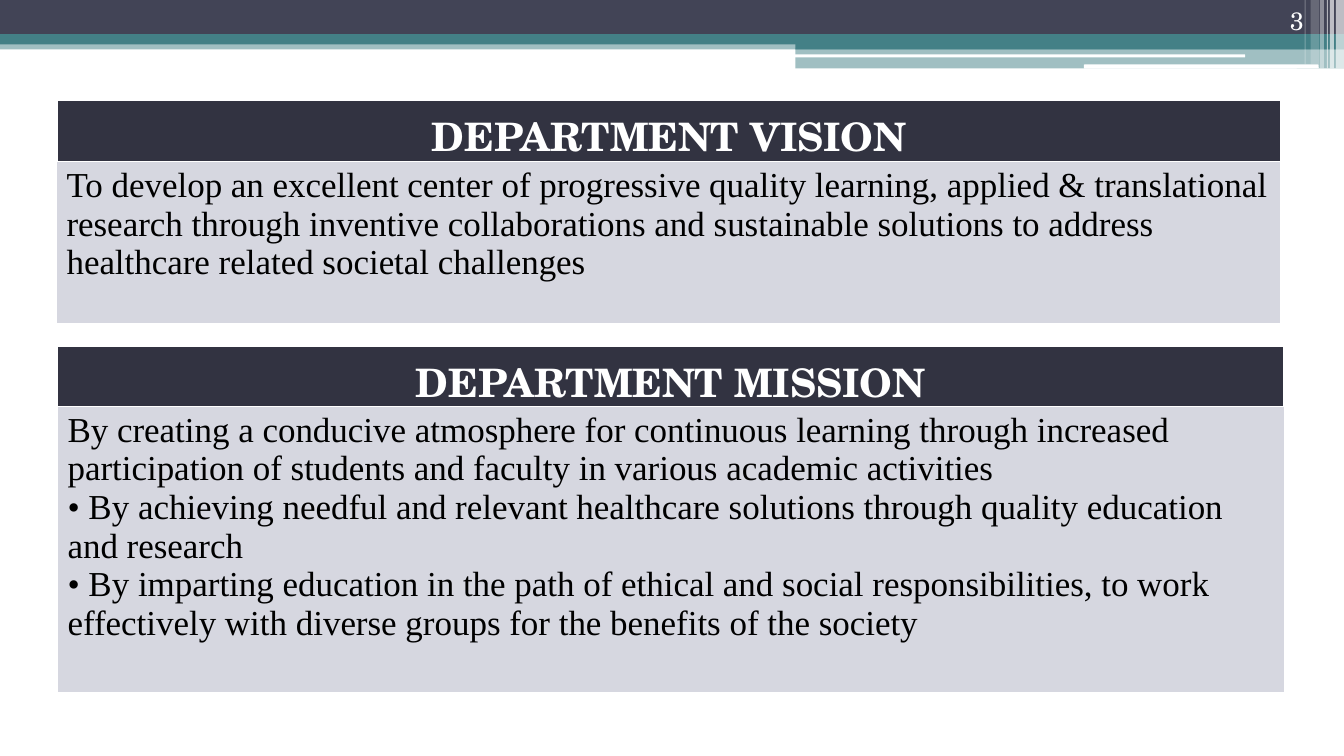
from lxml import etree
from pptx import Presentation
from pptx.dml.color import RGBColor
from pptx.enum.shapes import MSO_SHAPE
from pptx.enum.text import MSO_ANCHOR, PP_ALIGN
from pptx.oxml.ns import qn
from pptx.util import Inches, Pt

RECT, ROUND = MSO_SHAPE.RECTANGLE, MSO_SHAPE.ROUNDED_RECTANGLE
LEFT, CENTER, RIGHT = PP_ALIGN.LEFT, PP_ALIGN.CENTER, PP_ALIGN.RIGHT
BOTTOM = MSO_ANCHOR.BOTTOM

COLORS = {"navy": "424456", "teal": "438086", "white": "FFFFFF",
          "head": "323341", "body": "D6D7E0", "black": "000000"}
HEAD = {"size": Pt(28), "name": "TeX Gyre Schola", "bold": True}
BODY = {"size": Pt(25), "name": "Times New Roman", "bold": False}
PAGE = {"size": Pt(18), "name": "TeX Gyre Schola"}

# left, top, width, height, colour, opacity in percent
BANDS = [
    (0, 0.4, 13.33, 0.09, "teal", 50),
    (0, 0, 13.33, 0.34, "navy", 100),
    (0, 0.34, 13.33, 0.1, "teal", 100),
    (7.89, 0.39, 5.44, 0.1, "teal", 100),
    (7.89, 0.48, 5.44, 0.2, "teal", 50),
]
SLITS = [(7.88, 0.54, 4.47, 0.03), (10.75, 0.64, 2.33, 0.04)]
# left, width, height, opacity in percent
STRIPES = [
    (13.25, 0.08, 0.68, 65), (13.19, 0.04, 0.68, 65), (13.16, 0.01, 0.68, 60),
    (13.09, 0.04, 0.68, 40), (13, 0.08, 0.64, 20), (12.94, 0.01, 0.64, 30),
]
VISION = [
    "To develop an excellent center of progressive quality learning, applied & "
    "translational research through inventive collaborations and sustainable "
    "solutions to address healthcare related societal challenges",
]
MISSION = [
    "By creating a conducive atmosphere for continuous learning through increased "
    "participation of students and faculty in various academic activities",
    "• By achieving needful and relevant healthcare solutions through quality "
    "education and research",
    "• By imparting education in the path of ethical and social responsibilities, "
    "to work effectively with diverse groups for the benefits of the society",
]


def rgb(color):
    return RGBColor.from_string(COLORS[color])


def add_bar(slide, box, color, alpha=100, kind=RECT):
    bar = slide.shapes.add_shape(kind, *map(Inches, box))
    bar.shadow.inherit = False
    bar.line.fill.background()
    bar.fill.solid()
    bar.fill.fore_color.rgb = rgb(color)
    if alpha < 100:
        tint = bar.fill._xPr.find(".//" + qn("a:srgbClr"))
        etree.SubElement(tint, qn("a:alpha"), val=str(alpha * 1000))


def write(frame, lines, style, color, align):
    for i, line in enumerate(lines):
        para = frame.add_paragraph() if i else frame.paragraphs[0]
        para.alignment = align
        run = para.add_run()
        run.text = line
        for key, value in style.items():
            setattr(run.font, key, value)
        run.font.color.rgb = rgb(color)


def add_edges(cell):
    props = cell._tc.get_or_add_tcPr()
    for i, (side, width) in enumerate((("L", 1), ("R", 1), ("T", 1), ("B", 3))):
        edge = etree.Element(qn("a:ln" + side), w=str(Pt(width)))
        fill = etree.SubElement(edge, qn("a:solidFill"))
        etree.SubElement(fill, qn("a:srgbClr"), val=COLORS["white"])
        props.insert(i, edge)


def add_panel(slide, box, lines, style, fill, color, align):
    table = slide.shapes.add_table(1, 1, *map(Inches, box)).table
    cell = table.cell(0, 0)
    cell.fill.solid()
    cell.fill.fore_color.rgb = rgb(fill)
    add_edges(cell)
    write(cell.text_frame, lines, style, color, align)


def add_number(slide, text):
    box = slide.shapes.add_textbox(*map(Inches, (11.92, 0, 1.11, 0.4)))
    frame = box.text_frame
    frame.word_wrap = True
    frame.vertical_anchor = BOTTOM
    write(frame, [text], PAGE, "white", RIGHT)


def main():
    deck = Presentation()
    deck.slide_width, deck.slide_height = Inches(13.33), Inches(7.5)
    slide = deck.slides.add_slide(deck.slide_layouts[6])

    # Top banner
    for *box, color, alpha in BANDS:
        add_bar(slide, box, color, alpha)
    for box in SLITS:
        add_bar(slide, box, "white", kind=ROUND)
    for left, width, height, alpha in STRIPES:
        add_bar(slide, (left, 0, width, height), "white", alpha)

    # Headed panels
    for title, head, lines, body in (
        ("DEPARTMENT VISION", (0.57, 1, 12.13, 0.61),
         VISION, (0.56, 1.6, 12.14, 1.62)),
        ("DEPARTMENT MISSION", (0.57, 3.44, 12.16, 0.61),
         MISSION, (0.57, 4.03, 12.17, 2.85)),
    ):
        add_panel(slide, head, [title], HEAD, "head", "white", CENTER)
        add_panel(slide, body, lines, BODY, "body", "black", LEFT)

    # Slide number
    add_number(slide, "3")
    deck.save("out.pptx")


if __name__ == "__main__":
    main()
